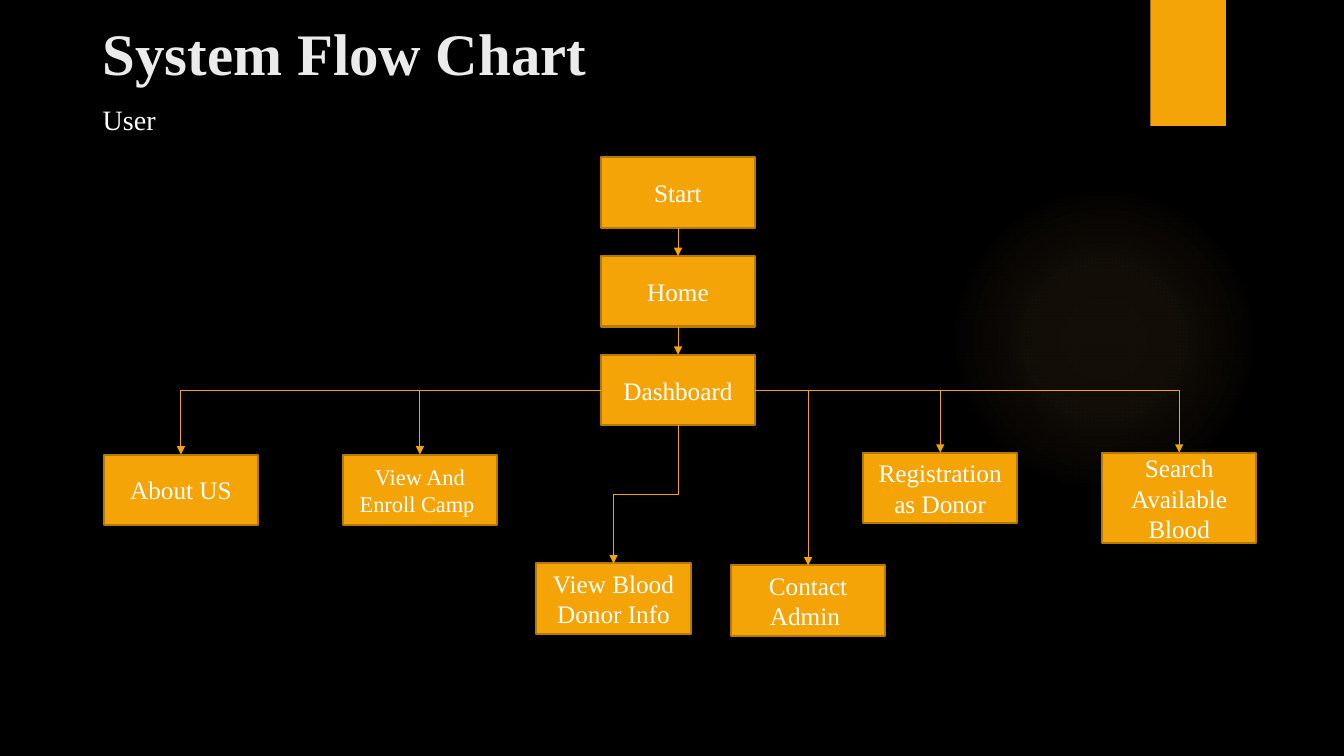
from lxml import etree
from pptx import Presentation
from pptx.dml.color import RGBColor
from pptx.enum.shapes import MSO_CONNECTOR, MSO_SHAPE
from pptx.enum.text import MSO_ANCHOR, PP_ALIGN
from pptx.oxml import parse_xml
from pptx.oxml.ns import nsdecls, qn
from pptx.util import Inches, Pt

BLACK = RGBColor(0x00, 0x00, 0x00)
WHITE = RGBColor(0xFF, 0xFF, 0xFF)
OFF_WHITE = RGBColor(0xEB, 0xEB, 0xEB)
AMBER = RGBColor(0xF5, 0xA4, 0x08)
DARK_AMBER = RGBColor(0xB5, 0x79, 0x06)
GLOW = RGBColor(0xFA, 0xC9, 0x6A)
FONT = "Times New Roman"
RECT, OVAL = MSO_SHAPE.RECTANGLE, MSO_SHAPE.OVAL
STRAIGHT, ELBOW = MSO_CONNECTOR.STRAIGHT, MSO_CONNECTOR.ELBOW
TOP, LEFT, BOTTOM, RIGHT = range(4)
STEP_W, STEP_H = 1.53, 0.7
TRUNK_LEFT, TRUNK_TOP, TRUNK_PITCH = 5.96, 1.56, 0.98

# label, left, top, height, text size, side of the dashboard it leaves from
BRANCHES = [
    ("About US", 1.03, 4.51, STEP_H, 18, LEFT),
    ("View And Enroll Camp ", 3.4, 4.51, STEP_H, 16, LEFT),
    ("View Blood Donor Info", 5.32, 5.59, STEP_H, 18, BOTTOM),
    ("Contact Admin ", 7.25, 5.61, STEP_H, 18, RIGHT),
    ("Registration as Donor", 8.56, 4.49, STEP_H, 18, RIGHT),
    ("Search Available Blood", 10.93, 4.49, 0.9, 18, RIGHT),
]


def set_font(paragraph, size, color, bold=False):
    font = paragraph.font
    font.name, font.size, font.bold = FONT, Pt(size), bold
    font.color.rgb = color


def add_backdrop(slide):
    """Black background, soft glow and the amber tab at the top."""
    slide.background.fill.solid()
    slide.background.fill.fore_color.rgb = BLACK
    glow = slide.shapes.add_shape(OVAL, Inches(9.41), Inches(1.83), Inches(3.08), Inches(3.08))
    glow.shadow.inherit = False
    glow.line.fill.background()
    stops = "".join(
        f'<a:gs pos="{pos * 1000}"><a:srgbClr val="{GLOW}"><a:alpha val="{alpha * 1000}"/></a:srgbClr></a:gs>'
        for pos, alpha in [(0, 7), (36, 6), (69, 0)])
    gradient = parse_xml(
        f'<a:gradFill {nsdecls("a")}><a:gsLst>{stops}</a:gsLst><a:path path="circle">'
        '<a:fillToRect l="50000" t="50000" r="50000" b="50000"/></a:path></a:gradFill>')
    glow.element.spPr.find(qn("a:prstGeom")).addnext(gradient)

    tab = slide.shapes.add_shape(RECT, Inches(11.41), 0, Inches(0.75), Inches(1.25))
    tab.shadow.inherit = False
    tab.fill.solid()
    tab.fill.fore_color.rgb = AMBER
    tab.line.fill.background()


def add_headings(slide, left, top, width):
    title = slide.shapes.title
    title.left, title.top, title.width, title.height = map(Inches, (left, top, width, 1.41))
    frame = title.text_frame
    frame.text = "System Flow Chart"
    frame.vertical_anchor = MSO_ANCHOR.TOP
    frame.margin_top = Inches(0.11)
    frame.paragraphs[0].alignment = PP_ALIGN.LEFT
    set_font(frame.paragraphs[0], 42, OFF_WHITE, bold=True)

    role = slide.shapes.add_textbox(*map(Inches, (left, top + 0.91, width, 0.45))).text_frame
    role.word_wrap = True
    role.text = "User"
    set_font(role.paragraphs[0], 20, WHITE)


def add_step(slide, label, left, top, height=STEP_H, size=18):
    step = slide.shapes.add_shape(RECT, *map(Inches, (left, top, STEP_W, height)))
    step.shadow.inherit = False
    step.fill.solid()
    step.fill.fore_color.rgb = AMBER
    step.line.color.rgb = DARK_AMBER
    step.line.width = Pt(1.5)
    frame = step.text_frame
    frame.word_wrap = True
    frame.vertical_anchor = MSO_ANCHOR.MIDDLE
    frame.text = label
    frame.paragraphs[0].alignment = PP_ALIGN.CENTER
    set_font(frame.paragraphs[0], size, WHITE)
    return step


def add_arrow(slide, source, side, target, kind):
    """Arrow from one side of a step to the top of another."""
    arrow = slide.shapes.add_connector(kind, 0, 0, 0, 0)
    arrow.begin_connect(source, side)
    arrow.end_connect(target, TOP)
    arrow.line.color.rgb = AMBER
    arrow.line.width = Pt(0.75)
    etree.SubElement(arrow.line._get_or_add_ln(), qn("a:tailEnd"), type="triangle")
    properties = arrow._element.spPr
    etree.SubElement(properties, qn("a:effectLst"))
    if kind == STRAIGHT:
        return
    xfrm = properties.find(qn("a:xfrm"))
    if side == BOTTOM:
        # Turn the three-part elbow a quarter so that it leaves downwards
        left, top, width, height = arrow.left, arrow.top, arrow.width, arrow.height
        arrow.left, arrow.top = left + (width - height) // 2, top + (height - width) // 2
        arrow.width, arrow.height = height, width
        xfrm.attrib.pop("flipH", None)
        xfrm.set("rot", "5400000")
    else:
        properties.find(qn("a:prstGeom")).set("prst", "bentConnector2")
        if side == LEFT:
            xfrm.attrib.pop("flipH", None)
            xfrm.set("rot", "10800000")
            xfrm.set("flipV", "1")


def add_flow_chart(slide, left, top):
    # Trunk
    trunk = [add_step(slide, label, left, top + row * TRUNK_PITCH)
             for row, label in enumerate(["Start", "Home", "Dashboard"])]
    for upper, lower in zip(trunk, trunk[1:]):
        add_arrow(slide, upper, BOTTOM, lower, STRAIGHT)
    # Branches from the dashboard
    for label, branch_left, branch_top, height, size, side in BRANCHES:
        branch = add_step(slide, label, branch_left, branch_top, height, size)
        add_arrow(slide, trunk[-1], side, branch, ELBOW)


def main():
    prs = Presentation()
    prs.slide_width, prs.slide_height = Inches(13.33), Inches(7.5)
    slide = prs.slides.add_slide(prs.slide_layouts[5])
    add_backdrop(slide)
    add_headings(slide, 0.92, 0.06, 11.78)
    add_flow_chart(slide, TRUNK_LEFT, TRUNK_TOP)
    prs.save("out.pptx")


if __name__ == "__main__":
    main()
